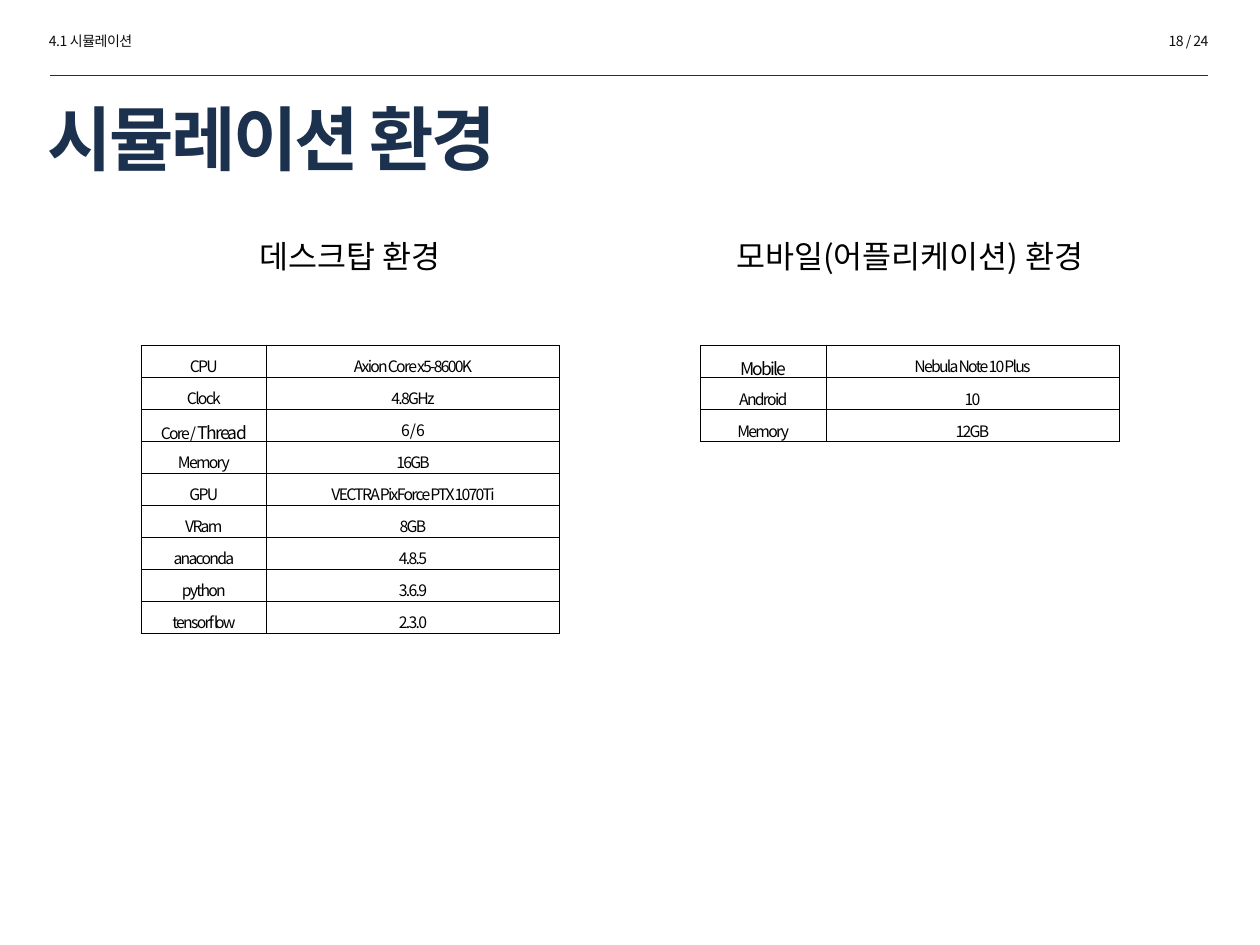
from dataclasses import dataclass

from lxml import etree
from pptx import Presentation
from pptx.dml.color import RGBColor
from pptx.enum.shapes import MSO_CONNECTOR
from pptx.enum.text import MSO_ANCHOR, MSO_AUTO_SIZE, PP_ALIGN
from pptx.oxml.ns import qn
from pptx.util import Inches, Pt

LEFT, CENTER, RIGHT = PP_ALIGN.LEFT, PP_ALIGN.CENTER, PP_ALIGN.RIGHT
MIDDLE = MSO_ANCHOR.MIDDLE
NO_AUTOFIT = MSO_AUTO_SIZE.NONE
STRAIGHT = MSO_CONNECTOR.STRAIGHT
TITLE_ONLY = 5
SLIDE_WIDTH, SLIDE_HEIGHT = Inches(10), Inches(7.5)


@dataclass(frozen=True)
class Theme:
    font: str = "Noto Sans CJK KR"
    navy: str = "1C314E"
    charcoal: str = "0D0D0D"
    black: str = "000000"
    title_size: int = 40
    heading_size: int = 18
    header_size: int = 8
    cell_size: int = 9
    large_cell_size: int = 10
    rule_width: float = 0.25
    border_width: float = 0.28


@dataclass(frozen=True)
class Box:
    """A rectangle in hundredths of the slide's width and height."""
    left: float
    top: float
    width: float
    height: float

    def emu(self):
        return (across(self.left), down(self.top),
                across(self.width), down(self.height))


THEME = Theme()
HEADER = Box(2.9, 2.8, 94, 5.2)
TITLE = Box(2.8, 10.27, 76.5, 8.53)
DESKTOP = Box(11.2, 24.4, 33.2, 42.53)
MOBILE = Box(55.6, 24.4, 33.2, 42.53)
HEADING_HEIGHT = 5.33
TABLE_OFFSET = 12.13
ROW_HEIGHT = 3.38
LABEL_SHARE = 0.3

# Each cell is a list of (text, size) runs, or plain text at the usual size.
DESKTOP_ROWS = [
    ("CPU", "Axion Core x5-8600K"),
    ("Clock", "4.8GHz"),
    ([("Core / ", THEME.cell_size), ("Thread", THEME.large_cell_size)], "6 / 6"),
    ("Memory", "16GB"),
    ("GPU", "VECTRA PixForce PTX 1070Ti"),
    ("VRam", "8GB"),
    ("anaconda", "4.8.5"),
    ("python", "3.6.9"),
    ("tensorflow", "2.3.0"),
]
MOBILE_ROWS = [
    ([("Mobile", THEME.large_cell_size)], "Nebula Note 10 Plus"),
    ("Android", "10"),
    ("Memory", "12GB"),
]


def across(percent):
    return round(SLIDE_WIDTH * percent / 100)


def down(percent):
    return round(SLIDE_HEIGHT * percent / 100)


def format_run(run, size, color, spacing=0, bold=False):
    """Style a run; spacing is in points between letters."""
    run.font.size = Pt(size)
    run.font.bold = bold
    run.font.color.rgb = RGBColor.from_string(color)
    run.font.name = THEME.font
    properties = run.font._element
    etree.SubElement(properties, qn("a:ea"), typeface=THEME.font)
    if spacing:
        properties.set("spc", str(round(spacing * 100)))


def add_label(slide, box, text, size, color, alignment, spacing=0, wrap=True):
    text_frame = slide.shapes.add_textbox(*box.emu()).text_frame
    text_frame.word_wrap = wrap
    text_frame.text = text
    paragraph = text_frame.paragraphs[0]
    paragraph.alignment = alignment
    format_run(paragraph.runs[0], size, color, spacing)


def add_header(slide, box, section, page):
    """Section name at the left, page count at the right, a rule below."""
    label_width, label_height = 17.3, 3.2
    right_edge = box.left + box.width
    for left, text, alignment in ((box.left, section, LEFT),
                                  (right_edge - label_width, page, RIGHT)):
        add_label(slide, Box(left, box.top, label_width, label_height), text,
                  THEME.header_size, THEME.charcoal, alignment, spacing=-0.3)
    inset = 1.05
    rule_top = down(box.top + box.height)
    rule = slide.shapes.add_connector(
        STRAIGHT, across(box.left + inset), rule_top,
        across(right_edge - inset), rule_top)
    rule.line.color.rgb = RGBColor.from_string(THEME.navy)
    rule.line.width = Pt(THEME.rule_width)
    etree.SubElement(rule._element.spPr, qn("a:effectLst"))


def fill_title(slide, box, text):
    title = slide.shapes.title
    title.left, title.top, title.width, title.height = box.emu()
    text_frame = title.text_frame
    text_frame.text = text
    text_frame.auto_size = NO_AUTOFIT
    text_frame.vertical_anchor = MIDDLE
    paragraph = text_frame.paragraphs[0]
    paragraph.alignment = LEFT
    format_run(paragraph.runs[0], THEME.title_size, THEME.navy,
               spacing=-1.5, bold=True)


def add_borders(cell):
    properties = cell._tc.get_or_add_tcPr()
    for side in ("a:lnL", "a:lnR", "a:lnT", "a:lnB"):
        line = etree.SubElement(properties, qn(side),
                                w=str(Pt(THEME.border_width)))
        fill = etree.SubElement(line, qn("a:solidFill"))
        etree.SubElement(fill, qn("a:srgbClr"), val=THEME.black)


def fill_cell(cell, content):
    add_borders(cell)
    cell.fill.background()
    cell.vertical_anchor = MIDDLE
    cell.margin_left = cell.margin_right = Inches(0.07)
    cell.margin_top = cell.margin_bottom = Inches(0.02)
    paragraph = cell.text_frame.paragraphs[0]
    paragraph.alignment = CENTER
    paragraph.line_spacing = 1.3
    runs = [(content, THEME.cell_size)] if isinstance(content, str) else content
    for text, size in runs:
        run = paragraph.add_run()
        run.text = text
        format_run(run, size, THEME.black, spacing=-1)


def add_environment(slide, box, heading, heading_share, rows):
    """A centred heading above a two-column table of specifications."""
    heading_width = box.width * heading_share
    heading_left = box.left + (box.width - heading_width) / 2
    add_label(slide, Box(heading_left, box.top, heading_width, HEADING_HEIGHT),
              heading, THEME.heading_size, THEME.black, CENTER, wrap=False)
    table_box = Box(box.left, box.top + TABLE_OFFSET,
                    box.width, ROW_HEIGHT * len(rows))
    table = slide.shapes.add_table(len(rows), 2, *table_box.emu()).table
    table.first_row = table.horz_banding = False
    for column, share in zip(table.columns, (LABEL_SHARE, 1 - LABEL_SHARE)):
        column.width = across(box.width * share)
    for row, contents in zip(table.rows, rows):
        row.height = down(ROW_HEIGHT)
        for cell, content in zip(row.cells, contents):
            fill_cell(cell, content)


def main():
    presentation = Presentation()
    presentation.slide_width = SLIDE_WIDTH
    presentation.slide_height = SLIDE_HEIGHT
    slide = presentation.slides.add_slide(presentation.slide_layouts[TITLE_ONLY])
    add_header(slide, HEADER, "4.1 시뮬레이션", "18 / 24")
    fill_title(slide, TITLE, "시뮬레이션 환경")
    add_environment(slide, DESKTOP, "데스크탑 환경", 0.55, DESKTOP_ROWS)
    add_environment(slide, MOBILE, "모바일(어플리케이션) 환경", 1.02, MOBILE_ROWS)
    presentation.save("out.pptx")


if __name__ == "__main__":
    main()
